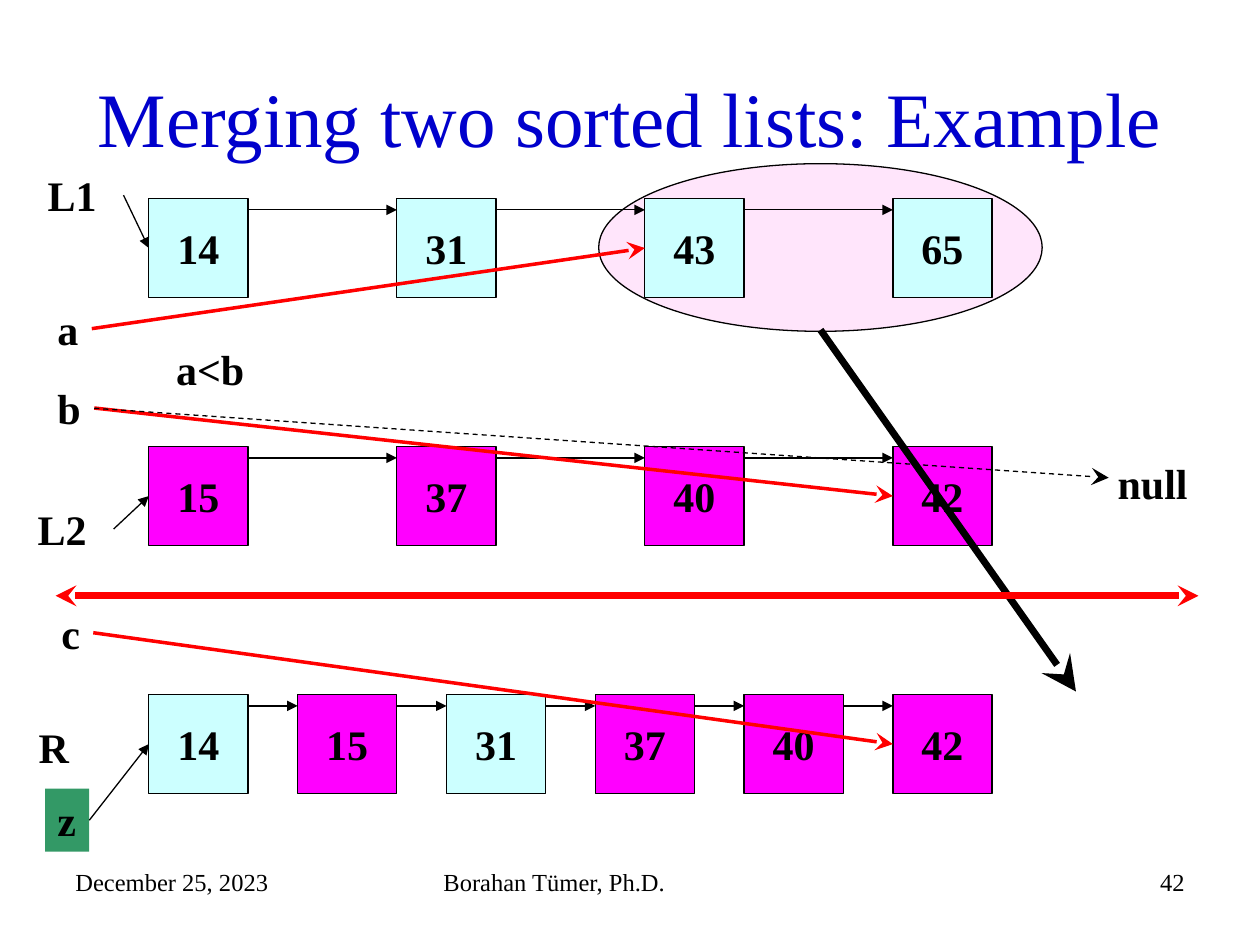
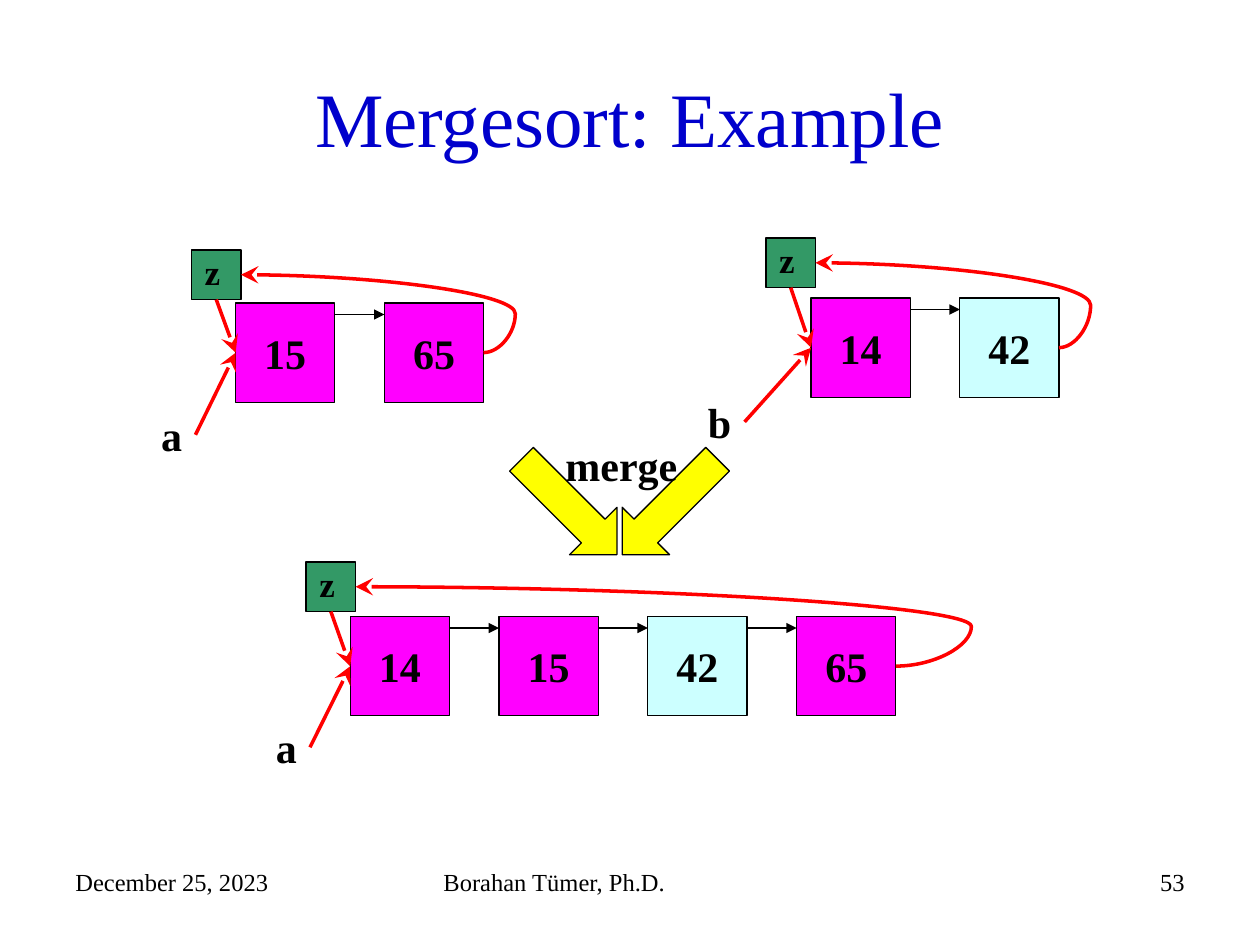
from lxml import etree
from pptx import Presentation
from pptx.dml.color import RGBColor
from pptx.enum.dml import MSO_LINE
from pptx.enum.shapes import MSO_CONNECTOR, MSO_SHAPE
from pptx.enum.text import MSO_ANCHOR, PP_ALIGN
from pptx.oxml.ns import qn
from pptx.util import Cm, Pt

STRAIGHT, CURVE = MSO_CONNECTOR.STRAIGHT, MSO_CONNECTOR.CURVE
RECT, OVAL, DOWN_ARROW = MSO_SHAPE.RECTANGLE, MSO_SHAPE.OVAL, MSO_SHAPE.DOWN_ARROW
LEFT, CENTER, RIGHT = PP_ALIGN.LEFT, PP_ALIGN.CENTER, PP_ALIGN.RIGHT
TOP, MIDDLE = MSO_ANCHOR.TOP, MSO_ANCHOR.MIDDLE
BOTTOM_SIDE, LEFT_SIDE, RIGHT_SIDE = 2, 1, 3

FONT = "Times New Roman"
COLORS = {"title": "0000CC", "text": "000000", "red": "FF0000", "cyan": "CCFFFF",
          "magenta": "FF00FF", "green": "339966", "pink": "FFE5FB", "yellow": "FFFF00"}
CELL, LABEL_H = 2, 1.27

LINK = dict(color="text", width=0.75, tail=("triangle", "med"))
POINTER = dict(color="red", width=2, tail=("stealth", "lg"))
NULL_LINE = dict(color="text", width=0.75, tail=("stealth", "lg"), dashed=True)
COPY_LINE = dict(color="text", width=4, tail=("stealth", "lg"))
DIVIDER = dict(color="red", width=4, head=("stealth", "med"), tail=("stealth", "med"))

FOOTERS = [("December 25, 2023", 1.27, 5.92, LEFT), ("Borahan Tümer, Ph.D.", 8.69, 8.05, LEFT)]
PAGE_X, PAGE_W = 18.21, 5.92

MERGE = {
    "title": "Merging two sorted lists: Example",
    "page": "42",
    "cyan": {"14", "31", "43", "65"},
    "rows": {
        "L1": (4, 5, ["14", "31", "43", "65"]),
        "L2": (9, 5, ["15", "37", "40", "42"]),
        "R": (14, 3, ["14", "15", "31", "37", "40", "42"]),
    },
    "labels": [("L1", 0.71, 3.3, 1.78, True), ("L2", 0.51, 10.03, 1.78, True),
               ("R", 0.53, 14.43, 1.45, True), ("a", 0.91, 5.99, 0.94, False),
               ("b", 0.91, 7.59, 0.99, False), ("c", 0.99, 12.12, 0.89, False),
               ("a<b", 3.3, 6.81, 1.88, False), ("null", 22.28, 9.09, 1.93, False),
               ("z", 0.91, 15.9, 0.89, False)],
    "pointers": [("L1", "L1", 0, LINK), ("L2", "L2", 0, LINK), ("z", "R", 0, LINK),
                 ("a", "L1", 2, POINTER), ("b", "L2", 3, POINTER), ("c", "R", 5, POINTER)],
    "lines": [((1.9, 8.23), (22.35, 9.63), NULL_LINE),
              ((16.54, 6.65), (21.69, 13.94), COPY_LINE),
              ((1.12, 12.01), (24.16, 12.01), DIVIDER)],
}

SORT = {
    "title": "Mergesort: Example",
    "page": "53",
    "cyan": {"42"},
    "lists": [
        dict(values=["14", "15", "42", "65"], x=7.06, y=12.43, z=(6.17, 11.33),
             label=("a", 5.31, 14.43, 0.94), bulge=1.52),
        dict(values=["15", "65"], x=4.75, y=6.11, z=(3.86, 5.04),
             label=("a", 3, 8.13, 0.94), bulge=0.64),
        dict(values=["14", "42"], x=16.35, y=6.01, z=(15.44, 4.8),
             label=("b", 14.02, 7.87, 0.99), bulge=0.64),
    ],
    "arrows": [(12.83, 45), (10.8, 315)],
    "merge": ("merge", 11.15, 8.74, 2.77),
}


def rgb(name):
    return RGBColor.from_string(COLORS[name])


def write(sp, text, size=24, bold=True, color="text", align=CENTER, anchor=MIDDLE, wrap=False):
    tf = sp.text_frame
    tf.word_wrap = wrap
    tf.vertical_anchor = anchor
    p = tf.paragraphs[0]
    p.alignment = align
    r = p.add_run()
    r.text = text
    r.font.name, r.font.size, r.font.bold = FONT, Pt(size), bold
    r.font.color.rgb = rgb(color)


def add_text(s, text, x, y, w, h=LABEL_H, **style):
    sp = s.shapes.add_textbox(Cm(x), Cm(y), Cm(w), Cm(h))
    write(sp, text, **{"align": LEFT, "anchor": TOP, **style})
    return sp


def add_shape(s, kind, x, y, w, h, fill):
    sp = s.shapes.add_shape(kind, Cm(x), Cm(y), Cm(w), Cm(h))
    sp.shadow.inherit = False
    sp.fill.solid()
    sp.fill.fore_color.rgb = rgb(fill)
    sp.line.color.rgb = rgb("text")
    sp.line.width = Pt(0.75)
    return sp


def add_line(s, start, end, color, width, head=None, tail=None, dashed=False, kind=STRAIGHT):
    cn = s.shapes.add_connector(kind, *(Cm(v) for v in (*start, *end)))
    cn.line.color.rgb = rgb(color)
    cn.line.width = Pt(width)
    if dashed:
        cn.line.dash_style = MSO_LINE.DASH
    ln = cn.line._get_or_add_ln()
    for tag, tip in (("a:headEnd", head), ("a:tailEnd", tail)):
        if tip:
            etree.SubElement(ln, qn(tag), type=tip[0], w=tip[1], len=tip[1])
    etree.SubElement(cn._element.spPr, qn("a:effectLst"))
    return cn


def join(s, source, source_side, target, target_side, style, kind=STRAIGHT):
    cn = add_line(s, (0, 0), (1, 1), kind=kind, **style)
    cn.begin_connect(source, source_side)
    cn.end_connect(target, target_side)
    return cn


def add_cells(s, values, x, y, pitch, cyan):
    cells = []
    for i, value in enumerate(values):
        left = x + i * pitch
        sp = add_shape(s, RECT, left, y, CELL, CELL, "cyan" if value in cyan else "magenta")
        write(sp, value)
        cells.append(sp)
        if i:
            add_line(s, (left - pitch + CELL, y + 0.23), (left, y + 0.23), **LINK)
    return cells


def start_slide(prs, data):
    s = prs.slides.add_slide(prs.slide_layouts[5])
    title = s.shapes.title
    title.left, title.top, title.width, title.height = Cm(1.27), Cm(0.76), Cm(22.86), Cm(3.18)
    write(title, data["title"], size=44, bold=False, color="title", wrap=True)
    for text, x, w, align in FOOTERS + [(data["page"], PAGE_X, PAGE_W, RIGHT)]:
        add_text(s, text, x, 17.35, w, 1.32, size=14, bold=False, align=align, wrap=True)
    return s


def build_merge(prs):
    s = start_slide(prs, MERGE)
    add_shape(s, OVAL, 12.07, 3.3, 8.94, 3.38, "pink")
    rows = {name: add_cells(s, values, 3, y, pitch, MERGE["cyan"])
            for name, (y, pitch, values) in MERGE["rows"].items()}
    labels = {text: add_text(s, text, x, y, w, wrap=wrap)
              for text, x, y, w, wrap in MERGE["labels"]}
    labels["z"].fill.solid()
    labels["z"].fill.fore_color.rgb = rgb("green")
    for label, row, i, style in MERGE["pointers"]:
        join(s, labels[label], RIGHT_SIDE, rows[row][i], LEFT_SIDE, style)
    for start, end, style in MERGE["lines"]:
        add_line(s, start, end, **style)


def add_circular_list(s, values, x, y, z, label, bulge):
    sentinel = add_shape(s, RECT, *z, 1, 1, "green")
    write(sentinel, "z", size=20)
    tf = sentinel.text_frame
    tf.margin_left, tf.margin_top, tf.margin_right, tf.margin_bottom = Cm(0.1), 0, Cm(0.25), Cm(0.13)
    cells = add_cells(s, values, x, y, 3, SORT["cyan"])
    join(s, sentinel, BOTTOM_SIDE, cells[0], LEFT_SIDE, POINTER)
    join(s, add_text(s, *label), RIGHT_SIDE, cells[0], LEFT_SIDE, POINTER)
    back = join(s, cells[-1], RIGHT_SIDE, sentinel, RIGHT_SIDE, POINTER, CURVE)
    geom = back._element.spPr.find(qn("a:prstGeom"))
    guides = geom.find(qn("a:avLst"))
    if guides is None:
        guides = etree.SubElement(geom, qn("a:avLst"))
    bend = round(-100000 * Cm(bulge) / back.width)
    etree.SubElement(guides, qn("a:gd"), name="adj1", fmla=f"val {bend}")


def build_sort(prs):
    s = start_slide(prs, SORT)
    for item in SORT["lists"]:
        add_circular_list(s, **item)
    for x, angle in SORT["arrows"]:
        add_shape(s, DOWN_ARROW, x, 8.86, 1.35, 2.72, "yellow").rotation = angle
    add_text(s, *SORT["merge"])


def main():
    prs = Presentation()
    prs.slide_width, prs.slide_height = Cm(25.4), Cm(19.05)
    build_merge(prs)
    build_sort(prs)
    prs.save("out.pptx")


if __name__ == "__main__":
    main()
